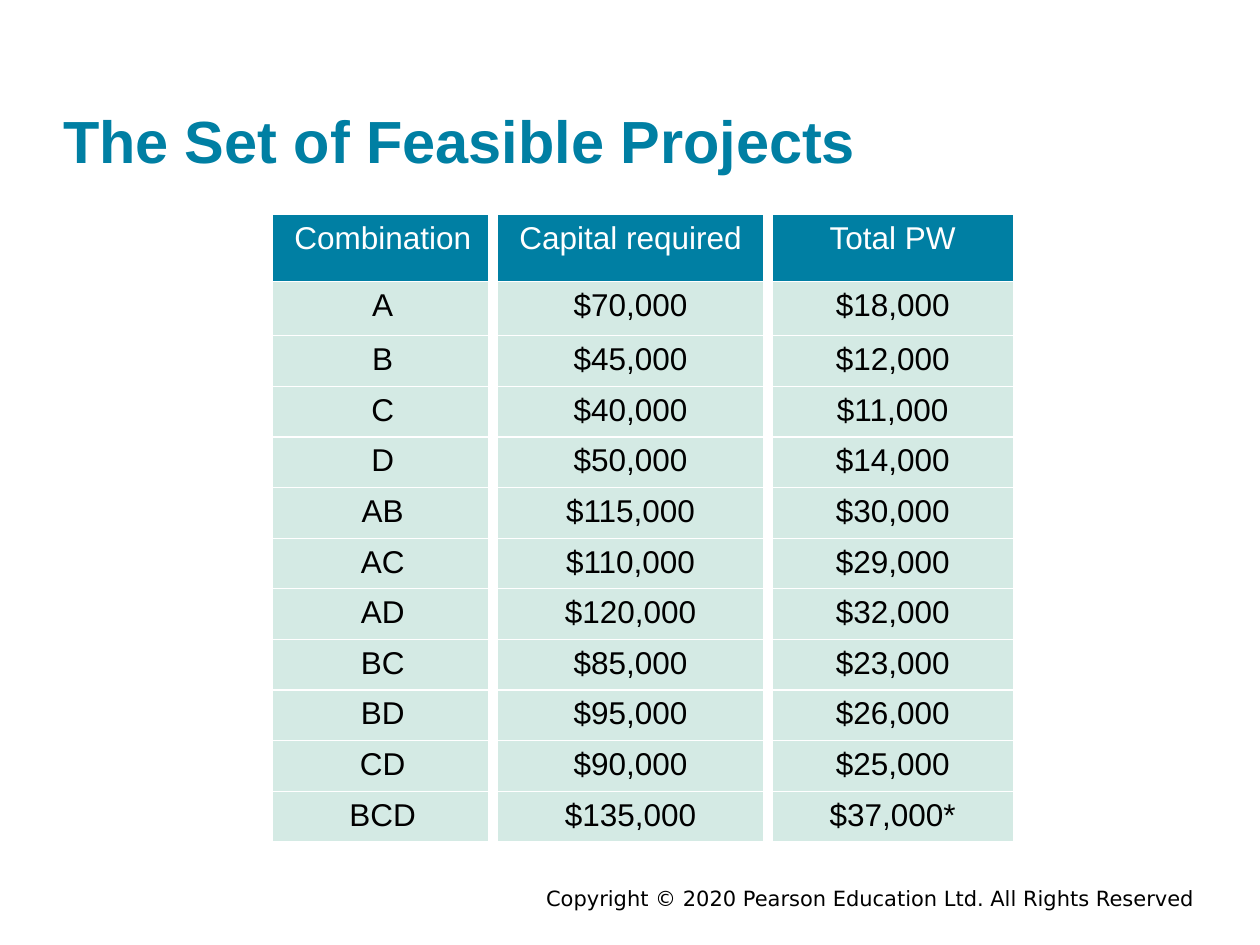
"""Build a slide with a table of feasible project combinations."""
import pptx
import pptx.dml.color
import pptx.enum.text
import pptx.oxml
import pptx.oxml.ns
import pptx.util
from pptx.util import Cm

RGBColor = pptx.dml.color.RGBColor
TEAL = RGBColor(0x00, 0x7F, 0xA3)
MINT = RGBColor(0xD4, 0xEA, 0xE4)
WHITE = RGBColor(0xFF, 0xFF, 0xFF)
BLACK = RGBColor(0x00, 0x00, 0x00)

ROWS = [
    ("Combination", "Capital required", "Total PW"),
    ("A", "$70,000", "$18,000"),
    ("B", "$45,000", "$12,000"),
    ("C", "$40,000", "$11,000"),
    ("D", "$50,000", "$14,000"),
    ("AB", "$115,000", "$30,000"),
    ("AC", "$110,000", "$29,000"),
    ("AD", "$120,000", "$32,000"),
    ("BC", "$85,000", "$23,000"),
    ("BD", "$95,000", "$26,000"),
    ("CD", "$90,000", "$25,000"),
    ("BCD", "$135,000", "$37,000*"),
]
COLUMN_WIDTHS = [Cm(4.45), Cm(5.54), Cm(5.03)]
ROW_HEIGHTS = [Cm(1.35), Cm(1.09)] + [Cm(1.02)] * 10
BORDER_POINTS = {"lnR": 6, "lnT": 0.75, "lnB": 0.75}


def set_text(text_frame, text, size, color, alignment, name="Arial", bold=False):
    """Write one formatted paragraph."""
    text_frame.text = text
    paragraph = text_frame.paragraphs[0]
    paragraph.alignment = alignment
    font = paragraph.font
    font.name, font.size, font.bold = name, pptx.util.Pt(size), bold
    font.color.rgb = color


def remove_margins(text_frame):
    """Set all four insets of a text frame to zero."""
    text_frame.margin_left = text_frame.margin_right = 0
    text_frame.margin_top = text_frame.margin_bottom = 0


def set_borders(cell):
    """Give a cell its white separator lines."""
    properties = cell._tc.get_or_add_tcPr()
    for position, (tag, points) in enumerate(BORDER_POINTS.items()):
        line = pptx.oxml.parse_xml(
            f'<a:{tag} {pptx.oxml.ns.nsdecls("a")} w="{pptx.util.Pt(points)}">'
            f'<a:solidFill><a:srgbClr val="{WHITE}"/></a:solidFill></a:{tag}>'
        )
        properties.insert(position, line)


def format_title(slide):
    """Place and write the slide title."""
    title = slide.shapes.title
    title.left, title.top, title.width, title.height = Cm(1.27), Cm(2.08), Cm(22.86), Cm(1.45)
    text_frame = title.text_frame
    remove_margins(text_frame)
    text_frame.vertical_anchor = pptx.enum.text.MSO_ANCHOR.BOTTOM
    text_frame.auto_size = pptx.enum.text.MSO_AUTO_SIZE.SHAPE_TO_FIT_TEXT
    set_text(text_frame, "The Set of Feasible Projects", 34, TEAL,
             pptx.enum.text.PP_ALIGN.LEFT, bold=True)


def add_project_table(slide):
    """Add the table of combinations, capital and present worth."""
    table = slide.shapes.add_table(
        len(ROWS), len(COLUMN_WIDTHS), Cm(5.49), Cm(4.33),
        sum(COLUMN_WIDTHS), sum(ROW_HEIGHTS)).table
    table.horz_banding = False
    for column, width in zip(table.columns, COLUMN_WIDTHS):
        column.width = width
    for row_index, values in enumerate(ROWS):
        table.rows[row_index].height = ROW_HEIGHTS[row_index]
        fill_color, text_color = (MINT, BLACK) if row_index else (TEAL, WHITE)
        for cell, value in zip(table.rows[row_index].cells, values):
            cell.fill.solid()
            cell.fill.fore_color.rgb = fill_color
            set_borders(cell)
            set_text(cell.text_frame, value, 18, text_color,
                     pptx.enum.text.PP_ALIGN.CENTER)


def add_copyright(slide):
    """Add the copyright line at the bottom right."""
    text_frame = slide.shapes.add_textbox(Cm(7.21), Cm(17.86), Cm(16.87), Cm(0.76)).text_frame
    text_frame.word_wrap = True
    remove_margins(text_frame)
    set_text(text_frame, "Copyright © 2020 Pearson Education Ltd. All Rights Reserved",
             12, BLACK, pptx.enum.text.PP_ALIGN.RIGHT, "DejaVu Sans")


def main():
    """Create and save the presentation."""
    presentation = pptx.Presentation()
    presentation.slide_width, presentation.slide_height = Cm(25.4), Cm(19.05)
    slide = presentation.slides.add_slide(presentation.slide_layouts[5])
    format_title(slide)
    add_project_table(slide)
    add_copyright(slide)
    presentation.save("out.pptx")


if __name__ == "__main__":
    main()
